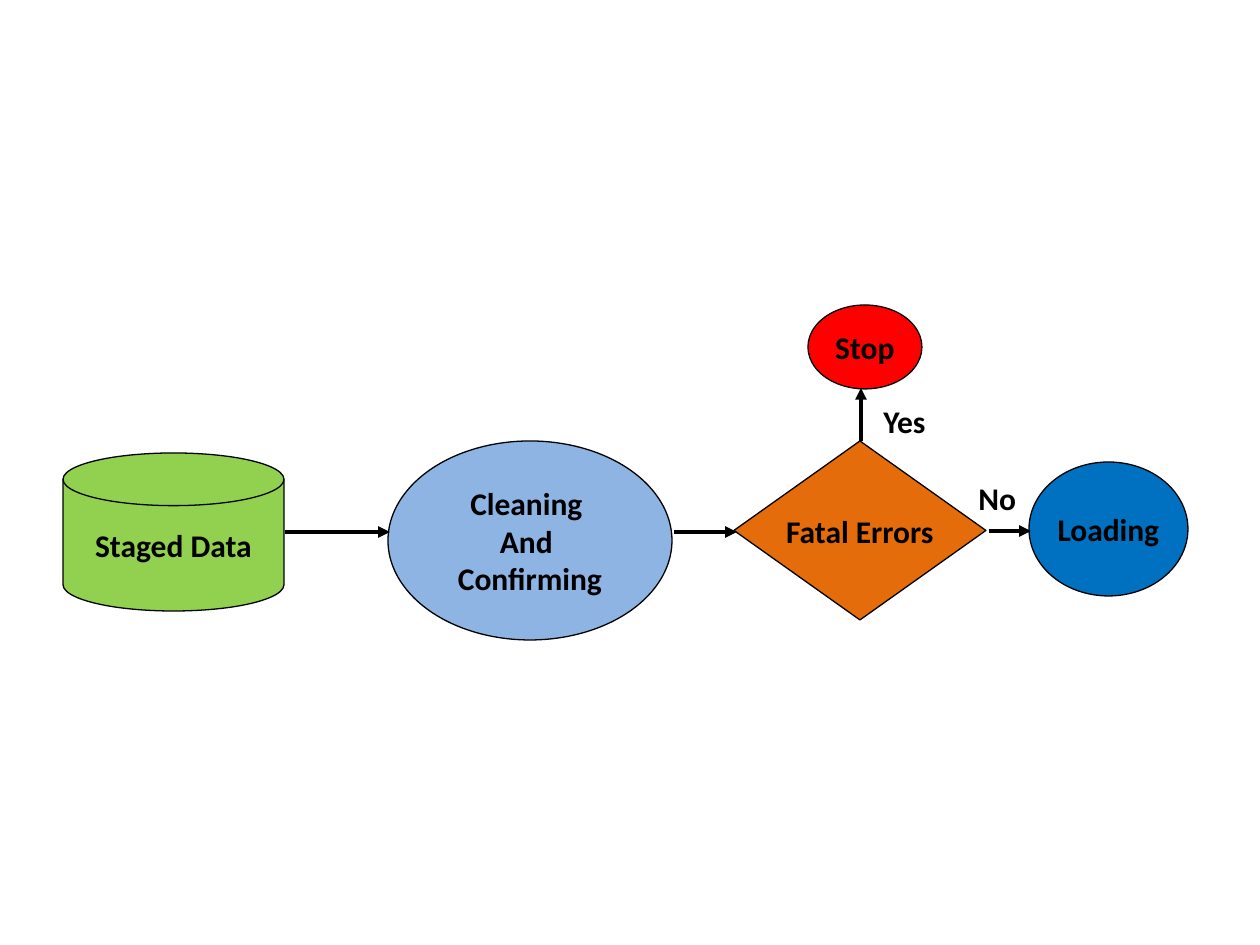
import pptx
import pptx.util
import pptx.dml.color
import pptx.enum.shapes
import pptx.enum.text
import pptx.oxml.ns
from lxml import etree

SCALE = 914400 // 126
KIND = pptx.enum.shapes.MSO_SHAPE
ALIGN = pptx.enum.text.PP_ALIGN


def px(n):
    return pptx.util.Emu(n * SCALE)


def color(code):
    return pptx.dml.color.RGBColor.from_string(code)


class Flow:
    font = "Calibri"
    size = 18
    ink = "000000"
    thin = 0.75
    thick = 2.25

    def __init__(self, slide):
        self.slide = slide

    def fill_text(self, frame, lines, align, wrap):
        frame.word_wrap = wrap
        for i, line in enumerate(lines):
            para = frame.paragraphs[0] if i == 0 else frame.add_paragraph()
            para.text = line
            para.alignment = align
            para.font.name = self.font
            para.font.size = pptx.util.Pt(self.size)
            para.font.bold = True
            para.font.color.rgb = color(self.ink)

    def node(self, kind, box, fill, *lines):
        shape = self.slide.shapes.add_shape(kind, *map(px, box))
        shape.shadow.inherit = False
        shape.fill.solid()
        shape.fill.fore_color.rgb = color(fill)
        shape.line.color.rgb = color(self.ink)
        shape.line.width = pptx.util.Pt(self.thin)
        shape.text_frame.vertical_anchor = pptx.enum.text.MSO_ANCHOR.MIDDLE
        self.fill_text(shape.text_frame, lines, ALIGN.CENTER, False)

    def arrow(self, *ends):
        link = self.slide.shapes.add_connector(
            pptx.enum.shapes.MSO_CONNECTOR.STRAIGHT, *map(px, ends))
        link.line.color.rgb = color(self.ink)
        link.line.width = pptx.util.Pt(self.thick)
        tag = pptx.oxml.ns.qn
        props = link.element.spPr
        etree.SubElement(props.find(tag("a:ln")), tag("a:tailEnd"), type="triangle")
        etree.SubElement(props, tag("a:effectLst"))

    def label(self, box, text):
        frame = self.slide.shapes.add_textbox(*map(px, box)).text_frame
        self.fill_text(frame, [text], ALIGN.LEFT, True)
        frame.auto_size = pptx.enum.text.MSO_AUTO_SIZE.SHAPE_TO_FIT_TEXT


deck = pptx.Presentation()
deck.slide_width = px(1260)
deck.slide_height = px(945)
flow = Flow(deck.slides.add_slide(deck.slide_layouts[6]))

# Steps of the flow
flow.node(KIND.FLOWCHART_MAGNETIC_DISK, (63, 453, 221, 158), "92D050", "Staged Data")
flow.node(KIND.OVAL, (388, 441, 284, 199), "8EB4E3",
          "Cleaning ", "And ", "Confirming")
flow.node(KIND.FLOWCHART_DECISION, (734, 441, 252, 179), "E46C0A", "Fatal Errors")
flow.node(KIND.OVAL, (808, 305, 114, 84), "FF0000", "Stop")
flow.node(KIND.OVAL, (1029, 462, 159, 134), "0070C0", "Loading")

# Arrows between the steps
flow.arrow(285, 532, 390, 532)
flow.arrow(674, 532, 737, 532)
flow.arrow(861, 441, 861, 388)
flow.arrow(989, 531, 1031, 531)

# Answers at the decision
flow.label((871, 396, 103, 50), "Yes")
flow.label((966, 473, 64, 50), "No")

deck.save("out.pptx")
